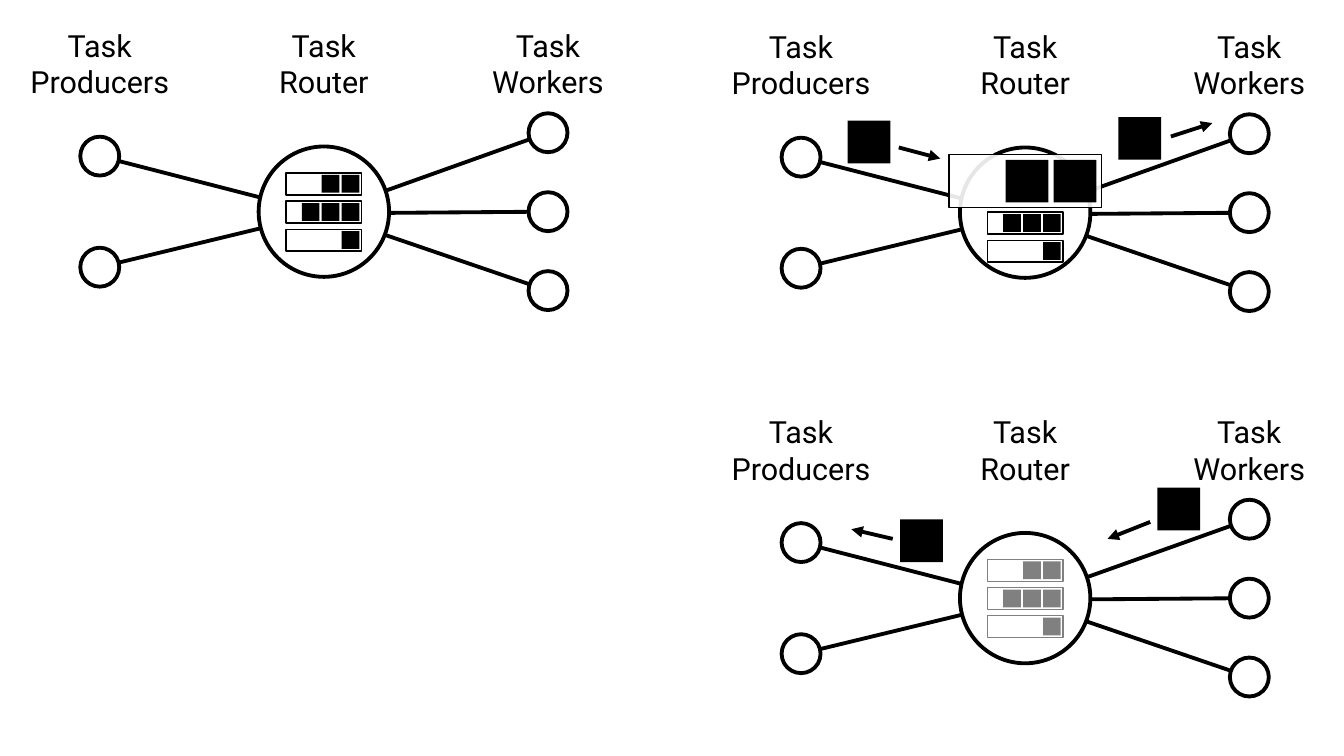
"""Draw a task router in three states: idle queues, tasks going out, results coming back."""
from lxml.etree import SubElement
from pptx import Presentation
from pptx.dml.color import RGBColor
from pptx.enum.shapes import MSO_CONNECTOR, MSO_SHAPE
from pptx.enum.text import PP_ALIGN
from pptx.oxml.ns import qn
from pptx.util import Pt

BLACK, WHITE = "000000", "FFFFFF"
STROKE, HAIRLINE = 2.27, 0
ROUTER, NODE = 77, 23
COLUMN_GAP, LABEL_RISE = 132.3, 112.7
LABEL_WIDTH, LABEL_HEIGHT = 108, 43.2
QUEUE_WIDTH, QUEUE_HEIGHT, QUEUE_PITCH, QUEUE_RISE = 44.6, 13, 16.6, 22.9
TASK, TASK_PITCH, ZOOM = 10.5, 11.8, 2.4

ROLES = ["Producers", "Router", "Workers"]
NODE_OFFSETS = [
    *((-COLUMN_GAP, dy) for dy in (-32.8, 32.8)),
    *((COLUMN_GAP, dy) for dy in (-46.6, 0, 46.6)),
]
QUEUE_LENGTHS = [2, 3, 1]

STATES = [
    {"center": (191.2, 125), "moves": []},
    {
        "center": (605.2, 125.6),
        "zoomed": (560.2, 91.4, 90),
        "queue_shift": 5.9,
        "moves": [
            ((500.4, 71.3), (530.6, 87.1), (555.1, 93.6)),
            ((660.2, 69.1), (691.2, 80.6), (715.7, 72.7)),
        ],
    },
    {
        "center": (605.2, 353.2),
        "veil": (581.8, 328.3, 48.2, 49.7),
        "moves": [
            ((531.4, 306.7), (527, 318.2), (502.6, 312.5)),
            ((683.3, 288), (679, 308.2), (653.8, 318.2)),
        ],
    },
]

prs = Presentation()
prs.slide_width, prs.slide_height = Pt(793.4), Pt(446.4)
shapes = prs.slides.add_slide(prs.slide_layouts[6]).shapes


def paint(target, color):
    target.solid()
    target.fore_color.rgb = RGBColor.from_string(color)


def box(kind, left, top, width, height, fill, stroke=None, opacity=100):
    shape = shapes.add_shape(kind, Pt(left), Pt(top), Pt(width), Pt(height))
    shape.shadow.inherit = False
    paint(shape.fill, fill)
    if opacity < 100:
        color = shape.fill._xPr.find(qn("a:solidFill"))[0]
        SubElement(color, qn("a:alpha"), val=str(opacity * 1000))
    if stroke is None:
        shape.line.fill.background()
    else:
        paint(shape.line.fill, BLACK)
        shape.line.width = Pt(stroke)


def circle(x, y, size):
    box(MSO_SHAPE.OVAL, x - size / 2, y - size / 2, size, size, WHITE, STROKE)


def link(start, end, arrow=False):
    line = shapes.add_connector(MSO_CONNECTOR.STRAIGHT, *map(Pt, (*start, *end)))
    paint(line.line.fill, BLACK)
    line.line.width = Pt(STROKE)
    if arrow:
        SubElement(line.line._get_or_add_ln(), qn("a:tailEnd"), type="triangle")
    SubElement(line._element.spPr, qn("a:effectLst"))


def label(x, top, role):
    frame = shapes.add_textbox(
        Pt(x - LABEL_WIDTH / 2), Pt(top), Pt(LABEL_WIDTH), Pt(LABEL_HEIGHT)
    ).text_frame
    frame.word_wrap = True
    frame.text = f"Task\n{role}"
    for paragraph in frame.paragraphs:
        paragraph.alignment = PP_ALIGN.CENTER
        paragraph.font.size = Pt(18)
        paragraph.font.name = "Roboto"
        paragraph.font.color.rgb = RGBColor.from_string(BLACK)


def task(left, top, zoom=1):
    box(MSO_SHAPE.RECTANGLE, left, top, TASK * zoom, TASK * zoom, BLACK)


def queue(left, top, width, length, zoom=1, opacity=100):
    height = QUEUE_HEIGHT * zoom
    box(MSO_SHAPE.RECTANGLE, left, top, width, height, WHITE, HAIRLINE, opacity)
    pad = (height - TASK * zoom) / 2
    for i in range(length):
        task(left + width - pad - (TASK + i * TASK_PITCH) * zoom, top + pad, zoom)


def draw_state(center, moves, zoomed=None, queue_shift=0, veil=None):
    x, y = center
    nodes = [(x + dx, y + dy) for dx, dy in NODE_OFFSETS]
    for node in nodes:
        link((x - 1, y + 1), node)
    for node in nodes:
        circle(*node, NODE)
    for column, role in enumerate(ROLES):
        label(x + (column - 1) * COLUMN_GAP, y - LABEL_RISE, role)
    circle(x, y, ROUTER)
    for row, length in enumerate(QUEUE_LENGTHS):
        if row == 0 and zoomed:
            queue(*zoomed, length, ZOOM, 90)
        else:
            top = y - QUEUE_RISE + queue_shift + row * QUEUE_PITCH
            queue(x - QUEUE_WIDTH / 2, top, QUEUE_WIDTH, length)
    if veil:
        box(MSO_SHAPE.RECTANGLE, *veil, WHITE, opacity=50)
    for corner, start, end in moves:
        task(*corner, ZOOM)
        link(start, end, arrow=True)


for state in STATES:
    draw_state(**state)

prs.save("out.pptx")
